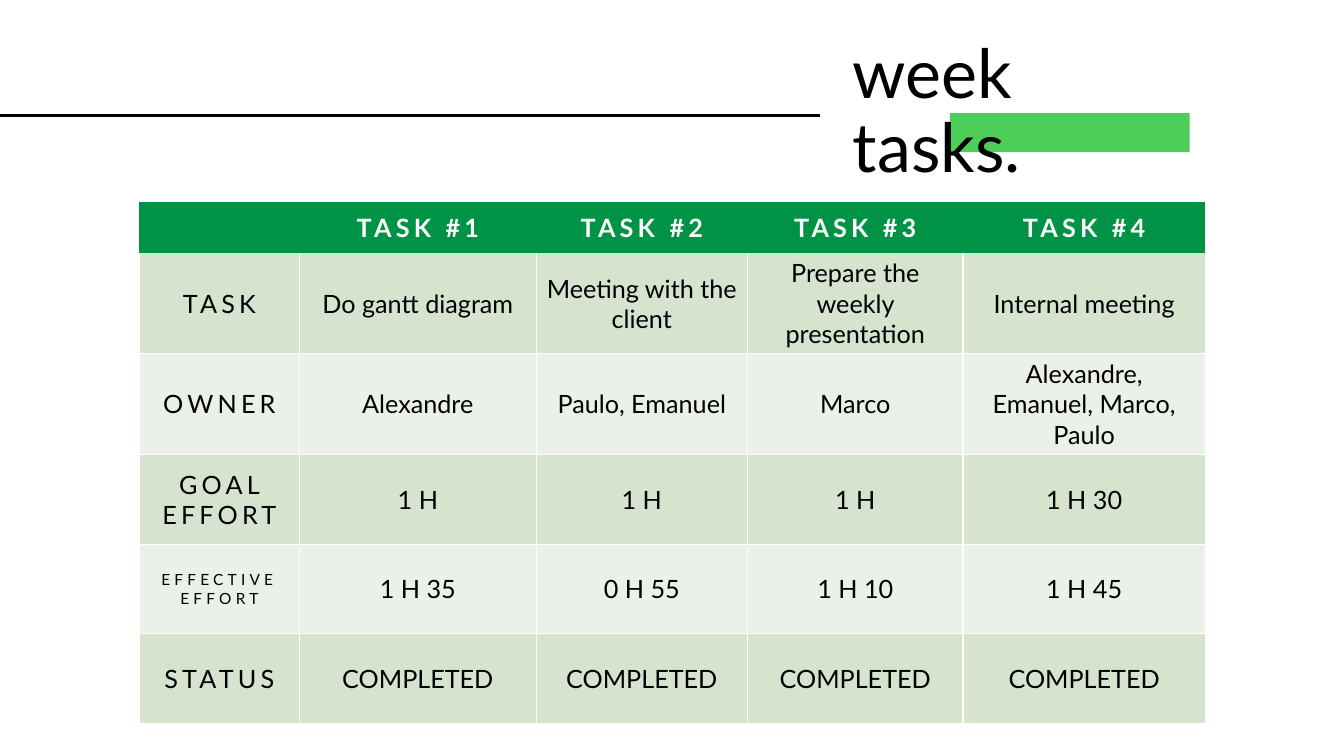
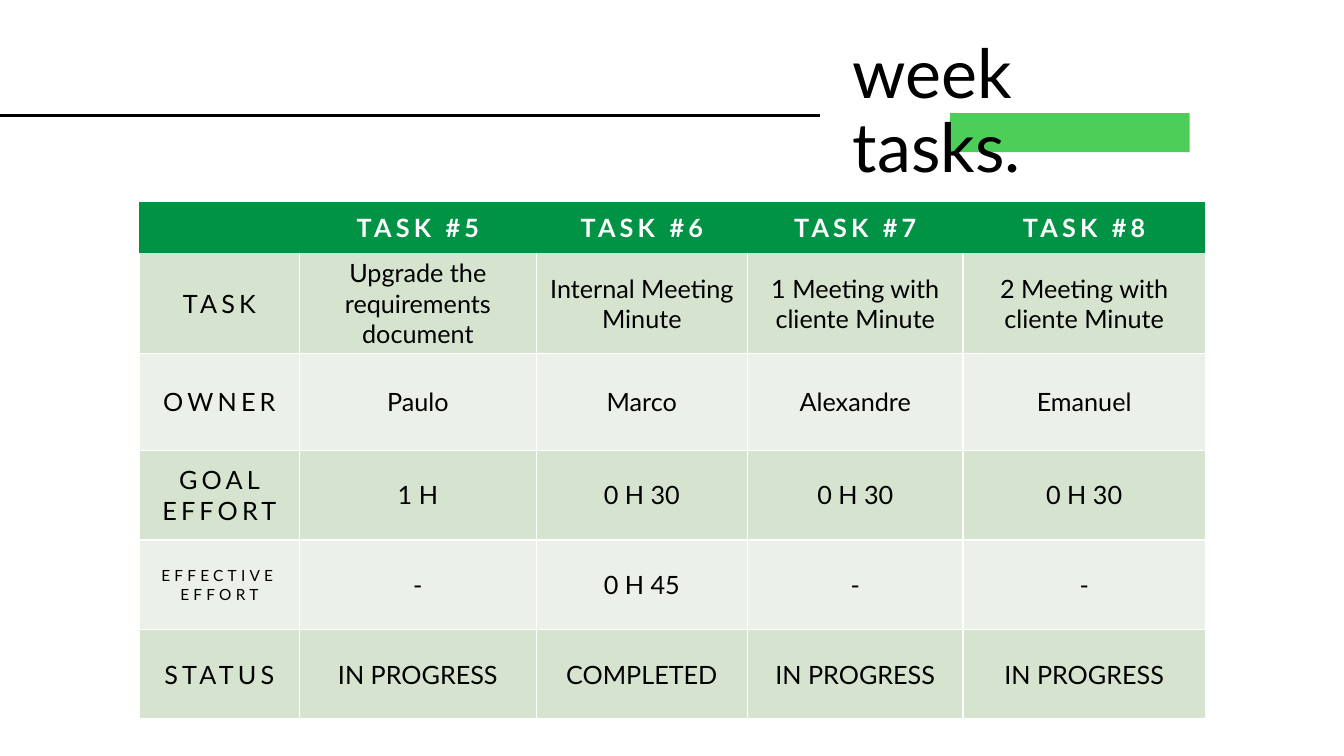
from lxml.etree import SubElement
from pptx import Presentation
from pptx.dml.color import RGBColor
from pptx.enum.shapes import MSO_CONNECTOR, MSO_SHAPE
from pptx.enum.text import MSO_ANCHOR, MSO_AUTO_SIZE, PP_ALIGN
from pptx.oxml import parse_xml
from pptx.oxml.ns import nsdecls, qn
from pptx.util import Pt

TITLE = "week tasks."
ROW_LABELS = ["TASK", "OWNER", "GOAL\nEFFORT", "EFFECTIVE EFFORT", "STATUS"]
SMALL_LABEL = "EFFECTIVE EFFORT"

# One tuple per task: task, owner, goal effort, effective effort, status
WEEKS = [
    [
        ("Do gantt diagram", "Alexandre", "1 H", "1 H 35", "COMPLETED"),
        ("Meeting with the client", "Paulo, Emanuel", "1 H", "0 H 55", "COMPLETED"),
        ("Prepare the weekly presentation", "Marco", "1 H", "1 H 10", "COMPLETED"),
        ("Internal meeting", "Alexandre, Emanuel, Marco, Paulo", "1 H 30", "1 H 45",
         "COMPLETED"),
    ],
    [
        ("Upgrade the requirements document", "Paulo", "1 H", "-", "IN PROGRESS"),
        ("Internal Meeting Minute", "Marco", "0 H 30", "0 H 45", "COMPLETED"),
        ("1 Meeting with cliente Minute", "Alexandre", "0 H 30", "-", "IN PROGRESS"),
        ("2 Meeting with cliente Minute", "Emanuel", "0 H 30", "-", "IN PROGRESS"),
    ],
]

FONT = "Lato"
BLACK, WHITE = "000000", "FFFFFF"
ACCENT, HEADER = "4DCE59", "009245"
BANDS = ["D5E3CF", "EBF1E9"]

SLIDE_SIZE = (960, 540)
TITLE_BOX = (602, 28.8, 258.5, 104.4)
ACCENT_BAR = (678.5, 80.8, 171.2, 28)
RULE_END, RULE_Y = 586, 82.8
TABLE_LEFT, TABLE_TOP = 99.5, 144
COLUMNS = [114.5, 169, 151, 154, 173]
ROWS = [36.7, 64, 69, 64, 64, 64]


def color(value):
    """Turn a hex string into a colour."""
    return RGBColor.from_string(value)


def points(values):
    """Turn several numbers into lengths in points."""
    return [Pt(value) for value in values]


def write(frame, text, size=18, ink=BLACK, bold=False, spacing=0,
          align=PP_ALIGN.CENTER, line_spacing=None):
    """Fill a text frame, one paragraph for each line of the text."""
    for number, line in enumerate(text.split("\n")):
        paragraph = frame.add_paragraph() if number else frame.paragraphs[0]
        paragraph.alignment = align
        paragraph.line_spacing = line_spacing
        run = paragraph.add_run()
        run.text = line
        font = run.font
        font.name, font.size, font.bold = FONT, Pt(size), bold
        font.color.rgb = color(ink)
        run.font._element.set("spc", str(spacing * 100))


def set_borders(cell, sides):
    """Draw thin white lines on the named sides and clear the others."""
    properties = cell._tc.get_or_add_tcPr()
    for position, side in enumerate("LRTB"):
        paint = (f'<a:solidFill><a:srgbClr val="{WHITE}"/></a:solidFill>'
                 if side in sides else "<a:noFill/>")
        properties.insert(position, parse_xml(
            f'<a:ln{side} {nsdecls("a")} w="{Pt(1)}">{paint}</a:ln{side}>'))


def add_heading(slide):
    """Add the accent bar, the rule and the title on top of them."""
    bar = slide.shapes.add_shape(MSO_SHAPE.RECTANGLE, *points(ACCENT_BAR))
    bar.shadow.inherit = False
    bar.fill.solid()
    bar.fill.fore_color.rgb = color(ACCENT)
    bar.line.fill.background()

    rule = slide.shapes.add_connector(
        MSO_CONNECTOR.STRAIGHT, *points((0, RULE_Y, RULE_END, RULE_Y)))
    rule.line.color.rgb = color(BLACK)
    rule.line.width = Pt(2.25)
    SubElement(rule.element.spPr, qn("a:effectLst"))

    title = slide.shapes.title
    title.left, title.top, title.width, title.height = points(TITLE_BOX)
    frame = title.text_frame
    frame.word_wrap = True
    frame.auto_size = MSO_AUTO_SIZE.NONE
    frame.vertical_anchor = MSO_ANCHOR.MIDDLE
    frame.margin_right = Pt(36)
    write(frame, TITLE, size=48.6, align=PP_ALIGN.LEFT, line_spacing=0.9)
    bar.element.getparent().append(title.element)


def add_task_table(slide, tasks, first_number):
    """Add the table with one column for each task."""
    headers = [""] + [f"TASK #{first_number + i}" for i in range(len(tasks))]
    grid = [headers] + [list(row) for row in zip(ROW_LABELS, *tasks)]
    table = slide.shapes.add_table(
        len(ROWS), len(COLUMNS),
        *points((TABLE_LEFT, TABLE_TOP, sum(COLUMNS), sum(ROWS)))).table
    for column, width in zip(table.columns, COLUMNS):
        column.width = Pt(width)
    for r, (row, height) in enumerate(zip(table.rows, ROWS)):
        row.height = Pt(height)
        for c, cell in enumerate(row.cells):
            text = grid[r][c]
            is_header = r == 0
            cell.vertical_anchor = MSO_ANCHOR.MIDDLE
            cell.fill.solid()
            cell.fill.fore_color.rgb = color(HEADER if is_header else BANDS[(r - 1) % 2])
            set_borders(cell, "" if is_header else "LRB" if r == 1 else "LRTB")
            if text:
                write(cell.text_frame, text, bold=is_header,
                      size=11 if text == SMALL_LABEL else 18,
                      ink=WHITE if is_header else BLACK,
                      spacing=3 if is_header or c == 0 else 0)


def build():
    """Build one slide for each group of tasks and save the file."""
    deck = Presentation()
    deck.slide_width, deck.slide_height = points(SLIDE_SIZE)
    first_number = 1
    for tasks in WEEKS:
        slide = deck.slides.add_slide(deck.slide_layouts[5])
        add_heading(slide)
        add_task_table(slide, tasks, first_number)
        first_number += len(tasks)
    deck.save("out.pptx")


build()
